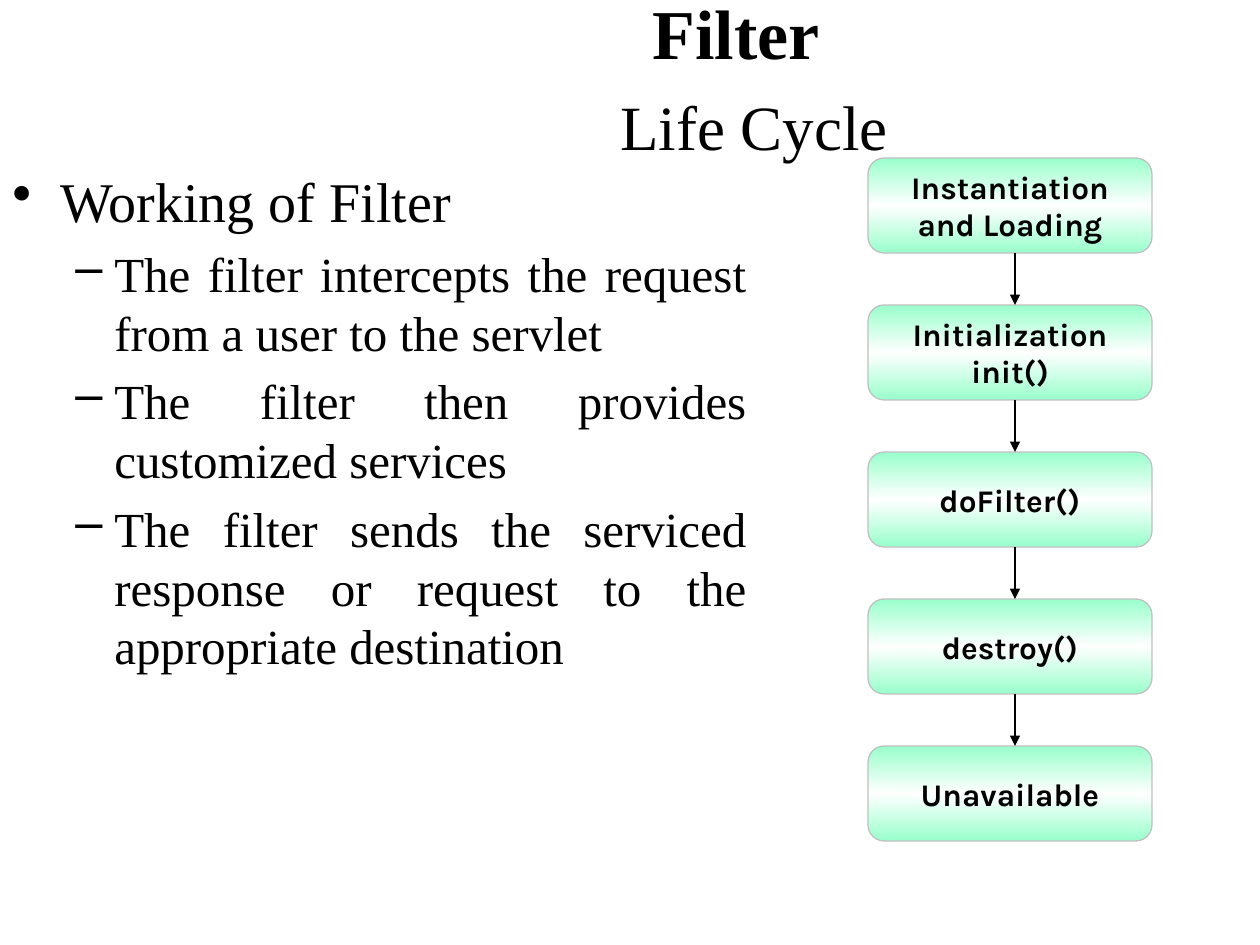
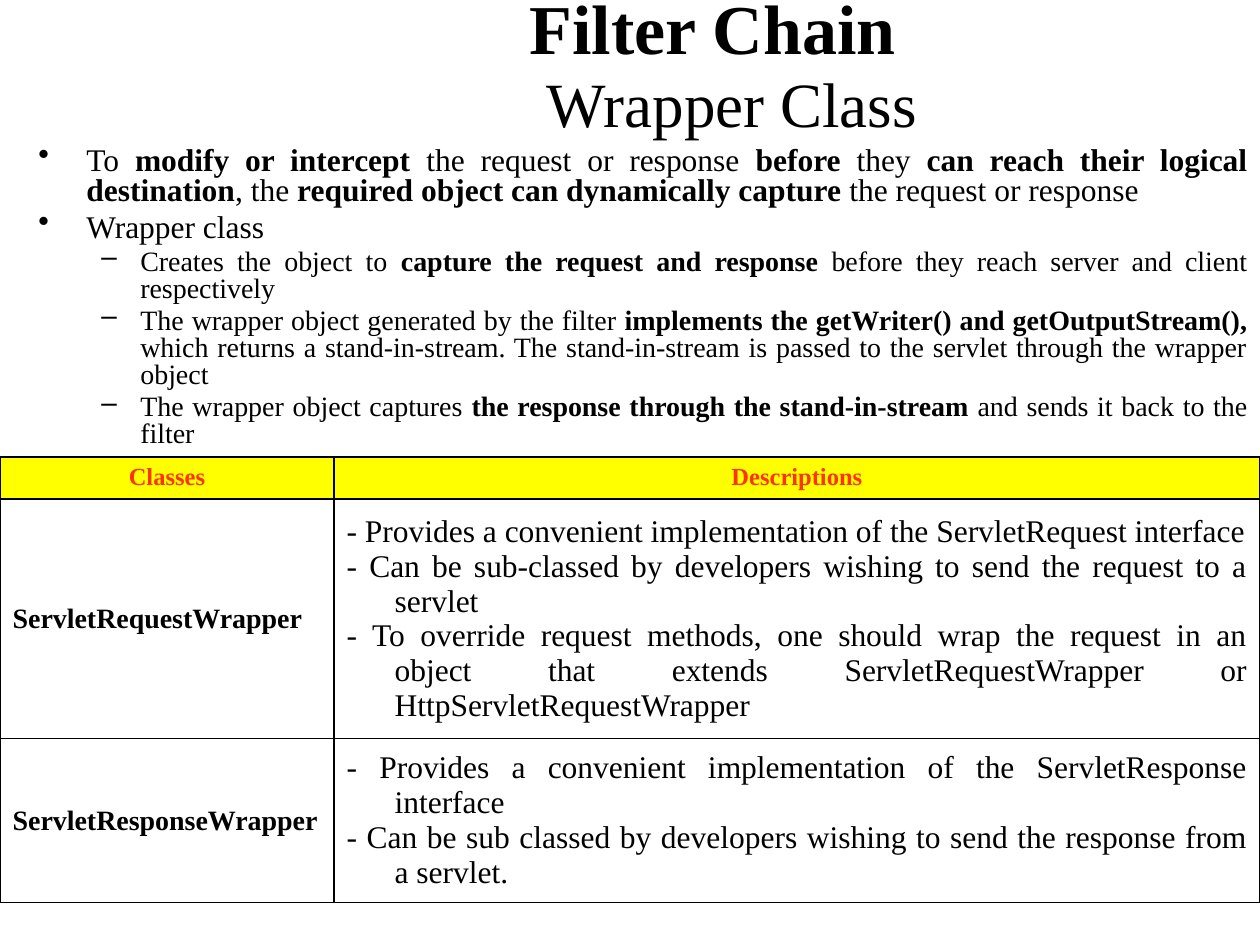
from lxml import etree
from pptx import Presentation
from pptx.dml.color import RGBColor
from pptx.enum.shapes import MSO_CONNECTOR, MSO_SHAPE
from pptx.enum.text import MSO_ANCHOR, PP_ALIGN
from pptx.oxml.ns import qn
from pptx.util import Pt

CENTER, LEFT, JUSTIFY = PP_ALIGN.CENTER, PP_ALIGN.LEFT, PP_ALIGN.JUSTIFY
TOP, MIDDLE = MSO_ANCHOR.TOP, MSO_ANCHOR.MIDDLE
ROUNDED, STRAIGHT = MSO_SHAPE.ROUNDED_RECTANGLE, MSO_CONNECTOR.STRAIGHT

SERIF, SANS = "Times New Roman", "Karla"
BLACK, WHITE, GREY = "000000", "FFFFFF", "C0C0C0"
MINT, YELLOW, RED = "99FFCC", "FFFF00", "FF3300"

SLIDE_WIDTH, SLIDE_HEIGHT = 1260, 945
HANGING = 48
# Bullet, left margin and first-line indent of each list level
LEVELS = [("•", HANGING, -HANGING), ("–", 102, -39)]


def px(length):
    return round(length * 914400 / 126)


def color(value):
    return RGBColor.from_string(value)


def set_font(font, size, name=SERIF, bold=False, fill=BLACK):
    font.name, font.size, font.bold = name, Pt(size), bold
    font.color.rgb = color(fill)


def set_indent(paragraph, margin, indent):
    properties = paragraph._p.get_or_add_pPr()
    properties.set("marL", str(px(margin)))
    properties.set("indent", str(px(indent)))
    return properties


def add_text_frame(slide, box, anchor):
    frame = slide.shapes.add_textbox(*map(px, box)).text_frame
    frame.word_wrap = True
    frame.vertical_anchor = anchor
    return frame


def paragraphs_for(frame, items):
    """Yield one paragraph of the frame for each item."""
    for index, item in enumerate(items):
        yield frame.add_paragraph() if index else frame.paragraphs[0], item


def add_title(slide, box, title, subtitle, space_size, line_spacing=1.0):
    paragraph = add_text_frame(slide, box, MIDDLE).paragraphs[0]
    paragraph.alignment = CENTER
    paragraph.line_spacing = line_spacing
    for text, size, bold in [(title + " ", 40, True), (" ", space_size, True),
                             (subtitle, 36, False)]:
        run = paragraph.add_run()
        run.text = text
        set_font(run.font, size, bold=bold)
        if text.startswith(title):
            paragraph.add_line_break()


def add_bullets(slide, box, items, sizes, line_spacing=1.0):
    """Items are (level, text); text between ** marks is bold."""
    frame = add_text_frame(slide, box, TOP)
    for paragraph, (level, text) in paragraphs_for(frame, items):
        bullet, margin, indent = LEVELS[level]
        paragraph.alignment = JUSTIFY
        paragraph.level = level
        paragraph.line_spacing = line_spacing
        paragraph.space_before = Pt(sizes[level] * 0.2)
        properties = set_indent(paragraph, margin, indent)
        etree.SubElement(properties, qn("a:buChar")).set("char", bullet)
        set_font(paragraph.font, sizes[level])
        for index, part in enumerate(text.split("**")):
            if part:
                run = paragraph.add_run()
                run.text = part
                set_font(run.font, sizes[level], bold=index % 2 == 1)


def add_stage(slide, box, text):
    shape = slide.shapes.add_shape(ROUNDED, *map(px, box))
    shape.shadow.inherit = False
    shape.adjustments[0] = 0.17
    shape.line.color.rgb = color(GREY)
    shape.line.width = Pt(0.75)
    # Mint at both edges, white in the middle
    shape.fill.gradient()
    shape.fill.gradient_angle = 270
    stops = shape.fill._fill._gradFill.find(qn("a:gsLst"))
    for stop in list(stops):
        stops.remove(stop)
    for position, value in [(0, MINT), (50, WHITE), (100, MINT)]:
        stop = etree.SubElement(stops, qn("a:gs"), pos=str(position * 1000))
        etree.SubElement(stop, qn("a:srgbClr"), val=value)
    frame = shape.text_frame
    frame.word_wrap = True
    frame.vertical_anchor = MIDDLE
    paragraph = frame.paragraphs[0]
    paragraph.text = text
    paragraph.alignment = CENTER
    set_font(paragraph.font, 18, SANS, bold=True)


def add_arrow(slide, x, top, bottom):
    arrow = slide.shapes.add_connector(STRAIGHT, px(x), px(top), px(x), px(bottom))
    arrow.line.color.rgb = color(BLACK)
    arrow.line.width = Pt(0.75)
    etree.SubElement(arrow.line._get_or_add_ln(), qn("a:tailEnd"), type="triangle")
    etree.SubElement(arrow._element.spPr, qn("a:effectLst"))


def add_life_cycle(slide, box, stages):
    left, top, width, height = box
    stage_height = 95
    pitch = (height - stage_height) / (len(stages) - 1)
    for index, stage in enumerate(stages):
        stage_top = top + index * pitch
        add_stage(slide, (left, stage_top, width, stage_height), stage)
        if index:
            add_arrow(slide, left + 147, stage_top - pitch + stage_height, stage_top)


def set_borders(cell):
    properties = cell._tc.get_or_add_tcPr()
    for index, side in enumerate(("lnL", "lnR", "lnT", "lnB")):
        line = etree.Element(qn("a:" + side), w=str(Pt(1)))
        fill = etree.SubElement(line, qn("a:solidFill"))
        etree.SubElement(fill, qn("a:srgbClr"), val=BLACK)
        properties.insert(index, line)


def fill_cell(cell, lines, alignment, size, bold, fill=BLACK):
    for paragraph, line in paragraphs_for(cell.text_frame, lines):
        paragraph.text = line
        paragraph.alignment = alignment
        set_indent(paragraph, HANGING, -HANGING)
        set_font(paragraph.font, size, bold=bold, fill=fill)
    set_borders(cell)


def add_class_table(slide, box, headings, classes):
    table = slide.shapes.add_table(len(classes) + 1, 2, *map(px, box)).table
    for column, width in zip(table.columns, (334, 926)):
        column.width = px(width)
    for row, height in zip(table.rows, (42, 239, 164)):
        row.height = px(height)
    # Heading row
    for column, heading in enumerate(headings):
        cell = table.cell(0, column)
        cell.fill.solid()
        cell.fill.fore_color.rgb = color(YELLOW)
        fill_cell(cell, [heading], CENTER, 14, True, RED)
    # One row for each class
    for row, (name, descriptions) in enumerate(classes, 1):
        name_cell, description_cell = table.cell(row, 0), table.cell(row, 1)
        for cell in (name_cell, description_cell):
            cell.fill.background()
            cell.vertical_anchor = MIDDLE
        fill_cell(name_cell, [name], LEFT, 16, True)
        fill_cell(description_cell, ["- " + text for text in descriptions],
                  JUSTIFY, 18, False)


def build_life_cycle_slide(slide):
    add_title(slide, (229, 0, 1031, 156), "Filter", "Life Cycle", 44)
    add_bullets(slide, (0, 160, 759, 785), [
        (0, "Working of Filter"),
        (1, "The filter intercepts the request from a user to the servlet"),
        (1, "The filter then provides customized services"),
        (1, "The filter sends the serviced response or request to the "
            "appropriate destination"),
    ], (32, 28))
    add_life_cycle(slide, (868, 158, 284, 683), [
        "Instantiation and Loading", "Initialization init()", "doFilter()",
        "destroy()", "Unavailable"])


def build_wrapper_class_slide(slide):
    add_title(slide, (183, 0, 1077, 146), "Filter Chain", "Wrapper Class", 48, 0.75)
    add_bullets(slide, (26, 141, 1234, 329), [
        (0, "To **modify or intercept **the request or response **before** they "
            "**can reach their logical destination**, the **required object can "
            "dynamically capture **the request or response"),
        (0, "Wrapper class"),
        (1, "Creates the object to **capture the request and response **before "
            "they reach server and client respectively"),
        (1, "The wrapper object generated by the filter **implements the "
            "getWriter() and getOutputStream(), **which returns a "
            "stand-in-stream. The stand-in-stream is passed to the servlet "
            "through the wrapper object"),
        (1, "The wrapper object captures **the response through the "
            "stand-in-stream **and sends it back to the filter"),
    ], (18, 16), 0.8)
    add_class_table(slide, (0, 457, 1260, 445), ("Classes", "Descriptions"), [
        ("ServletRequestWrapper", [
            "Provides a convenient implementation of the ServletRequest interface",
            "Can be sub-classed by developers wishing to send the request to a "
            "servlet",
            "To override request methods, one should wrap the request in an "
            "object that extends ServletRequestWrapper or "
            "HttpServletRequestWrapper"]),
        ("ServletResponseWrapper", [
            "Provides a convenient implementation of the ServletResponse interface",
            "Can be sub classed by developers wishing to send the response from "
            "a servlet."]),
    ])


def main():
    presentation = Presentation()
    presentation.slide_width = px(SLIDE_WIDTH)
    presentation.slide_height = px(SLIDE_HEIGHT)
    for build in (build_life_cycle_slide, build_wrapper_class_slide):
        build(presentation.slides.add_slide(presentation.slide_layouts[6]))
    presentation.save("out.pptx")


if __name__ == "__main__":
    main()
